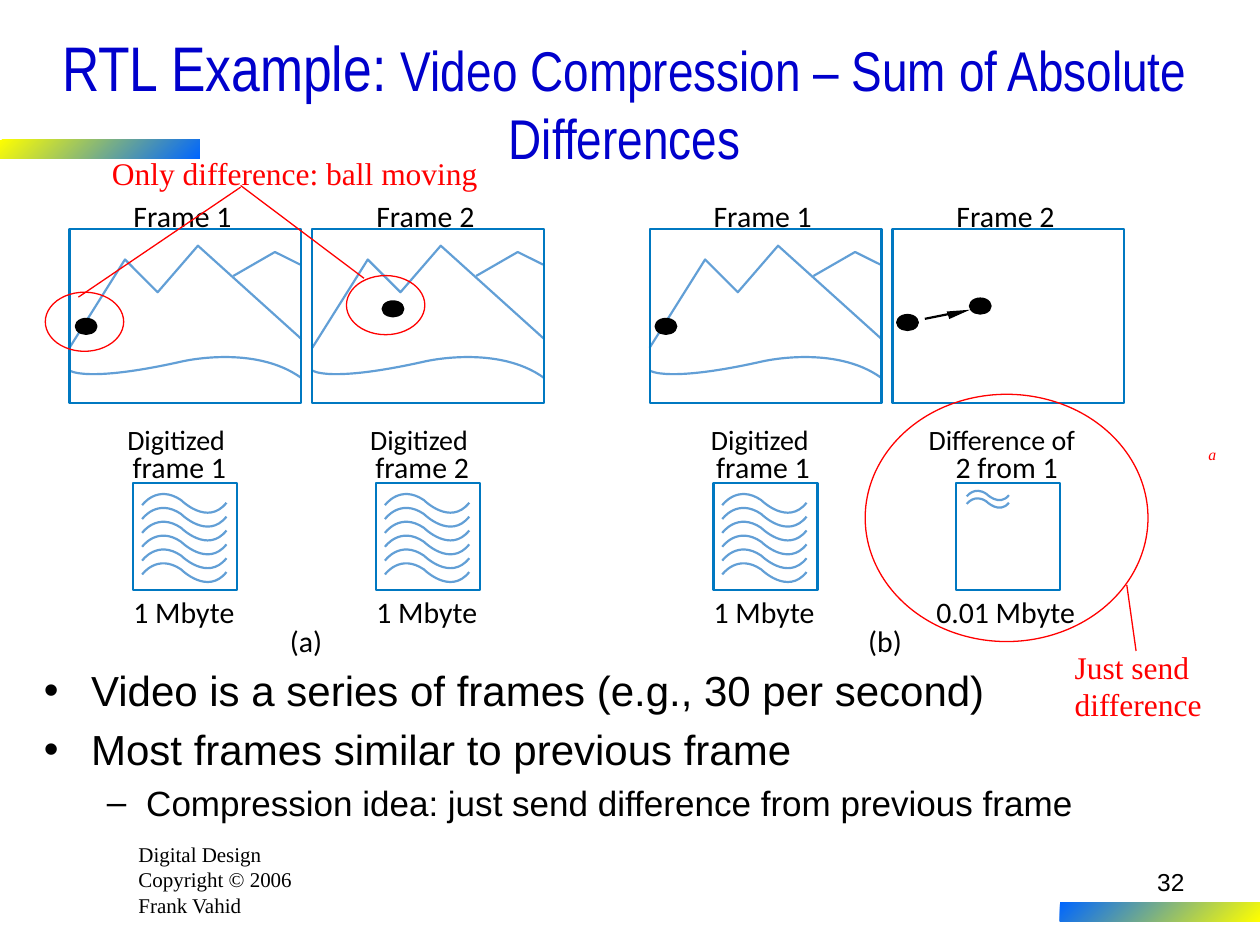
from lxml import etree
from pptx import Presentation
from pptx import util as u
from pptx.dml.color import RGBColor
from pptx.enum import shapes, text
from pptx.oxml.ns import qn

BLACK = RGBColor(0, 0, 0)
RED = RGBColor(255, 0, 0)
NAVY = RGBColor(0, 0, 0xCC)
BLUE = RGBColor(0, 0x66, 0xFF)
YELLOW = RGBColor(255, 255, 0)
FRAME = RGBColor(0, 0x78, 0xC1)
SKETCH = RGBColor(0x62, 0x9F, 0xD6)
Pt = u.Pt
RECT = shapes.MSO_SHAPE.RECTANGLE
OVAL = shapes.MSO_SHAPE.OVAL
TIMES, ARIAL, LABEL = "Times New Roman", "Arial", "Calibri"

PEAKS = [(0, 67.7), (31.7, 17.3), (50.4, 36), (73.4, 9.4), (132.5, 62.7)]
RIDGE = [(93.6, 26.7), (117.4, 13), (131.8, 20.2)]
GROUND = [(0, 80.7), (0, 80.7), (9, 87.9), (64.1, 75.6),
          (64.1, 75.6), (105.8, 65.6), (132.5, 85)]
WAVE = [(0, 0), (0, 0), (8.6, -12.2), (22.3, -2.9),
        (22.3, -2.9), (37.4, 12.2), (48.2, -1.4)]
TIP = [(44.3, 46), (31, 47), (32.5, 51.3)]


def style(item, **values):
    for name, value in values.items():
        setattr(item, name, value)


def paint(shape, fill=None, line=None, width=1.25):
    shape.shadow.inherit = False
    if fill is None:
        shape.fill.background()
    else:
        shape.fill.solid()
        shape.fill.fore_color.rgb = fill
    if line is None:
        shape.line.fill.background()
    else:
        shape.line.color.rgb = line
        shape.line.width = Pt(width)


def block(slide, kind, box, **look):
    shape = slide.shapes.add_shape(kind, *map(Pt, box))
    paint(shape, **look)
    return shape


def path(slide, x, y, points, scale=1, curve=False, close=False, **look):
    spots = [(Pt(x + a * scale), Pt(y + b * scale)) for a, b in points]
    pen = slide.shapes.build_freeform(*spots[0])
    pen.add_line_segments(spots[1:], close=close)
    shape = pen.convert_to_shape()
    paint(shape, **look)
    if curve:
        steps = list(shape._element.iter(qn("a:lnTo")))
        for i in range(0, len(steps), 3):
            route = steps[i].getparent()
            bend = etree.SubElement(route, qn("a:cubicBezTo"))
            for step in steps[i:i + 3]:
                bend.append(step[0])
                route.remove(step)


def link(slide, ends, color, width):
    line = slide.shapes.add_connector(shapes.MSO_CONNECTOR.STRAIGHT, *map(Pt, ends))
    line.line.color.rgb = color
    line.line.width = Pt(width)
    etree.SubElement(line._element.spPr, qn("a:effectLst"))


def write(slide, box, lines, size, face, color=BLACK, wrap=True, grow=True,
          pad=True, align=None, anchor=None, italic=None):
    shape = slide.shapes.add_textbox(*map(Pt, box))
    frame = shape.text_frame
    fit = text.MSO_AUTO_SIZE
    style(frame, word_wrap=wrap, vertical_anchor=anchor,
          auto_size=fit.SHAPE_TO_FIT_TEXT if grow else fit.NONE)
    if not pad:
        style(frame, margin_left=0, margin_right=0, margin_top=0, margin_bottom=0)
    for i, line in enumerate(lines):
        para = frame.add_paragraph() if i else frame.paragraphs[0]
        para.alignment = align
        run = para.add_run()
        run.text = line
        style(run.font, size=Pt(size), name=face, italic=italic)
        run.font.color.rgb = color
    return frame


def label(slide, x, y, words, size=17, width=62):
    write(slide, (x, y, width, 20), [words], size, LABEL, wrap=False, pad=False)


def band(slide, box, start, end):
    fill = block(slide, RECT, box).fill
    fill.gradient()
    fill.gradient_angle = 315
    for stop, color, place in zip(fill.gradient_stops, (start, end), (0, 1)):
        stop.color.rgb = color
        stop.position = place


def base(slide):
    write(slide, (72, 477.4, 120, 50.4),
          ["Digital Design", "Copyright © 2006", "Frank Vahid"], 12, TIMES)
    band(slide, (0, 79.8, 114.3, 11), YELLOW, BLUE)
    band(slide, (605.7, 515.5, 114.3, 11), BLUE, YELLOW)
    write(slide, (534, 492, 150, 36), ["32"], 14, ARIAL, grow=False,
          align=text.PP_ALIGN.RIGHT)


def title(slide, box):
    frame = write(slide, box, ["RTL Example: "], 36, "Arial Narrow", NAVY, grow=False,
                  align=text.PP_ALIGN.CENTER, anchor=text.MSO_ANCHOR.MIDDLE)
    run = frame.paragraphs[0].add_run()
    run.text = "Video Compression – Sum of Absolute Differences"
    style(run.font, size=Pt(32), name="Arial Narrow")
    run.font.color.rgb = NAVY


def points(slide, box):
    rows = [("Video is a series of frames (e.g., 30 per second)", 24, 27, 27, "•"),
            ("Most frames similar to previous frame", 24, 27, 27, "•"),
            ("Compression idea: just send difference from previous frame",
             20, 58.5, 22.5, "–")]
    frame = write(slide, box, [row[0] for row in rows], 24, ARIAL, grow=False)
    frame.margin_top = Pt(8.4)
    for i, (para, row) in enumerate(zip(frame.paragraphs, rows)):
        words, size, left, hang, mark = row
        props = para._p.get_or_add_pPr()
        props.set("marL", str(Pt(left)))
        props.set("indent", str(-Pt(hang)))
        etree.SubElement(props, qn("a:buFont")).set("typeface", ARIAL)
        etree.SubElement(props, qn("a:buChar")).set("char", mark)
        para.space_before = Pt(size / 5 if i else 0)
        para.runs[0].font.size = Pt(size)


def ball(slide, x, y):
    block(slide, OVAL, (x, y, 11.8, 8.6), fill=BLACK, line=BLACK)


def column(slide, x, y, heads, balls, shifts, full=True):
    top, first, second, size = heads
    label(slide, x + 36.5, y - 18, top)
    label(slide, x + shifts[0], y + 110.2, first, 16, 92 if not full else 62)
    label(slide, x + shifts[1], y + 125.3, second)
    label(slide, x + shifts[2], y + 208.1, size, 17, 84 if not full else 62)
    if full:
        path(slide, x, y, PEAKS, line=SKETCH)
        path(slide, x, y, RIDGE, line=SKETCH)
        path(slide, x, y, GROUND, curve=True, line=SKETCH)
    for dx, dy in balls:
        ball(slide, x + dx, y + dy)
    block(slide, RECT, (x, y, 132.5, 99.4), line=FRAME)
    count, scale, dx, dy, gap = (6, 1, 41.5, 157.7, 7.92) if full else (2, 0.5, 42.5, 152.7, 4.3)
    for i in range(count):
        path(slide, x + dx, y + dy + i * gap, WAVE, scale, curve=True, line=SKETCH)
    block(slide, RECT, (x + 36.5, y + 144.8, 59.4, 61.4), line=FRAME)


def motion(slide, x, y):
    link(slide, (x + 18.5, y + 51.2, x + 33, y + 48.3), BLACK, 1.25)
    path(slide, x, y, TIP, close=True, fill=BLACK)


def notes(slide):
    for box in ((25.9, 167, 44.8, 33.8), (198, 157.5, 44.8, 33.8), (494.4, 225.3, 161.6, 141.3)):
        block(slide, OVAL, box, line=RED, width=0.75)
    for ends in ((44.8, 169.8, 137.5, 107), (208, 159, 137.5, 106), (643.9, 334.3, 649.2, 372)):
        link(slide, ends, RED, 0.75)
    write(slide, (56.9, 84.2, 224, 29), ["Only difference: ball moving"], 18, TIMES, RED, wrap=False)
    write(slide, (607, 366.5, 91, 50.4), ["Just send difference"], 18, TIMES, RED)
    write(slide, (683.5, 250.8, 18.7, 18), ["a"], 9, TIMES, RED, wrap=False, italic=True)


def main():
    deck = Presentation()
    style(deck, slide_width=Pt(720), slide_height=Pt(540))
    slide = deck.slides.add_slide(deck.slide_layouts[6])
    base(slide)
    title(slide, (18, 24, 678, 66))
    points(slide, (18, 371.5, 669.6, 108.7))
    plain = (33, 36, 36.5)
    for x, n, spot, shifts in ((39.75, 1, (3.6, 51.2), plain),
                               (178.5, 2, (40.2, 41.2), plain),
                               (371.25, 1, (3.4, 51.2), (35, 38, 36.5))):
        heads = (f"Frame {n}", "Digitized", f"frame {n}", "1 Mbyte")
        column(slide, x, 131, heads, [spot], shifts)
    column(slide, 510, 131, ("Frame 2", "Difference of", "2 from 1", "0.01 Mbyte"),
           [(44.3, 39.6), (2.7, 49)], (20.7, 36, 25), full=False)
    motion(slide, 510, 131)
    label(slide, 165.6, 355.7, "(a)", width=20)
    label(slide, 496.1, 355.7, "(b)", width=21)
    notes(slide)
    deck.save("out.pptx")


if __name__ == "__main__":
    main()
